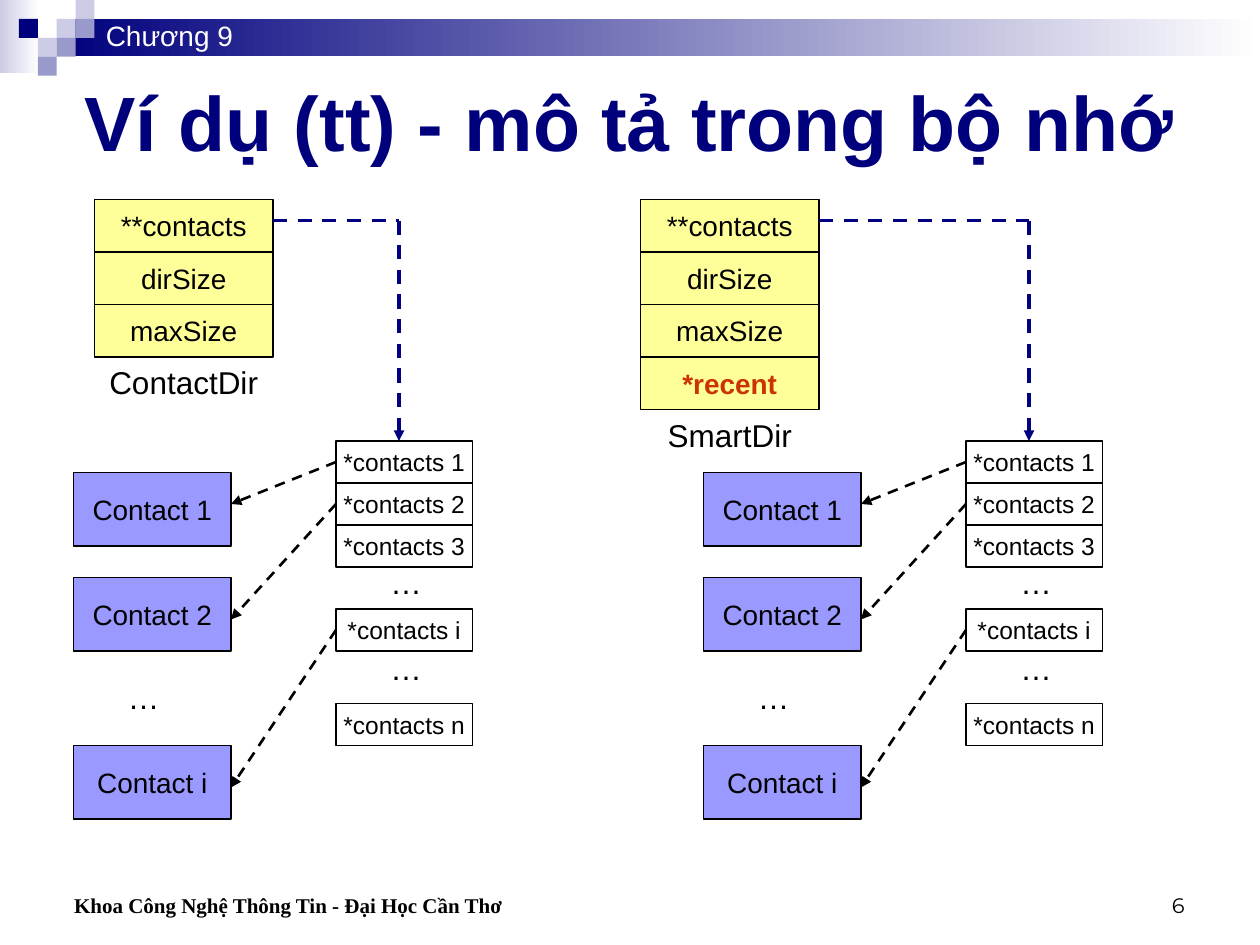
from dataclasses import dataclass

from pptx import Presentation
from pptx.dml.color import RGBColor
from pptx.enum.dml import MSO_LINE
from pptx.enum.shapes import MSO_CONNECTOR, MSO_SHAPE
from pptx.enum.text import MSO_ANCHOR, PP_ALIGN
from pptx.oxml.xmlchemy import OxmlElement
from pptx.util import Inches, Pt


@dataclass(frozen=True)
class Theme:
    """Colours, fonts and type sizes of the slide."""
    navy: str = "00007D"
    pointer: str = "000080"
    black: str = "000000"
    white: str = "FFFFFF"
    pale: str = "CCCCE6"
    lilac: str = "9999CC"
    field: str = "FFFF99"
    contact: str = "9999FF"
    accent: str = "CC3300"
    sans: str = "Arial"
    serif: str = "Times New Roman"
    digits: str = "Montserrat"
    title_size: int = 44
    label_size: int = 18
    body_size: int = 16
    entry_size: int = 14
    footer_size: int = 12


@dataclass(frozen=True)
class Box:
    """An area in grid units of a twelfth of an inch."""
    left: float
    top: float
    width: float
    height: float

    def inner(self, col, row, cols, rows):
        """Return an area placed relative to this one."""
        return Box(self.left + col, self.top + row, cols, rows)

    def emu(self):
        """Return left, top, width and height as lengths."""
        return [Inches(n / 12) for n in (self.left, self.top, self.width, self.height)]


THEME = Theme()
PAGE = Box(0, 0, 120, 90)


def rgb(code):
    """Turn a hex code into a colour."""
    return RGBColor.from_string(code)


def write(holder, words, size, color=THEME.black, font=THEME.sans, bold=False,
          align=PP_ALIGN.LEFT, anchor=MSO_ANCHOR.TOP, wrap=True):
    """Put one formatted paragraph into a shape."""
    frame = holder.text_frame
    frame.text = words
    frame.word_wrap = wrap
    frame.vertical_anchor = anchor
    paragraph = frame.paragraphs[0]
    paragraph.alignment = align
    face = paragraph.runs[0].font
    face.name, face.size, face.bold = font, Pt(size), bold
    face.color.rgb = rgb(color)
    return paragraph


def caption(slide, box, words, size, **style):
    """Add a text box."""
    return write(slide.shapes.add_textbox(*box.emu()), words, size, **style)


def block(slide, box, fill=None, outline=None, fade=None):
    """Add a rectangle, plain, empty or fading to the right."""
    rect = slide.shapes.add_shape(MSO_SHAPE.RECTANGLE, *box.emu())
    rect.shadow.inherit = False
    if fade:
        rect.fill.gradient()
        rect.fill.gradient_angle = 180
        for stop, color in zip(rect.fill.gradient_stops, (THEME.white, fade)):
            stop.color.rgb = rgb(color)
    elif fill:
        rect.fill.solid()
        rect.fill.fore_color.rgb = rgb(fill)
    else:
        rect.fill.background()
    if outline:
        rect.line.color.rgb = rgb(outline)
        rect.line.width = Pt(0.75)
    else:
        rect.line.fill.background()
    return rect


def cell(slide, box, words, size, fill=None, **style):
    """Add an outlined rectangle with centred text."""
    rect = block(slide, box, fill, THEME.black)
    write(rect, words, size, align=PP_ALIGN.CENTER, anchor=MSO_ANCHOR.MIDDLE,
          wrap=False, **style)
    return rect


def dashed(slide, start, end, color, width, arrow=True):
    """Add a dashed line between two grid points."""
    points = [Inches(n / 12) for n in (*start, *end)]
    line = slide.shapes.add_connector(MSO_CONNECTOR.STRAIGHT, *points)
    line.line.color.rgb = rgb(color)
    line.line.width = Pt(width)
    line.line.dash_style = MSO_LINE.DASH
    if arrow:
        head = OxmlElement("a:tailEnd")
        head.set("type", "triangle")
        line.line._get_or_add_ln().append(head)
    line._element.spPr.append(OxmlElement("a:effectLst"))
    return line


def banner(slide, box):
    """Draw the fading bars, the mosaic and the chapter name."""
    tile = 1.8
    block(slide, box.inner(0, 0, 3.75, 7), fade=THEME.pale)
    block(slide, box.inner(3 * tile, tile, box.width - 3 * tile, 3.5), fade=THEME.navy)
    mosaic = {THEME.pale: [(3, 1), (4, 0), (2, 2)],
              THEME.lilac: [(4, 1), (3, 2), (2, 3)],
              THEME.navy: [(1, 1)]}
    for color, places in mosaic.items():
        for col, row in places:
            block(slide, box.inner(col * tile, row * tile, tile, tile), color)
    caption(slide, box.inner(8.9, 1.15, 21, 4.4), "Chương 9", THEME.body_size,
            color=THEME.white)


def record(slide, box, name, fields):
    """Stack the fields of a class and centre its name underneath."""
    rows = 5
    for index, field in enumerate(fields):
        special = field == "*recent"
        cell(slide, box.inner(0, index * rows, box.width, rows), field, THEME.body_size,
             THEME.field, color=THEME.accent if special else THEME.black, bold=special)
    name_box = box.inner(-1, len(fields) * rows, box.width + 2, 4.8)
    caption(slide, name_box, name, THEME.label_size, align=PP_ALIGN.CENTER)


def pointer_array(slide, box):
    """Draw the array of pointers and return its cells by key."""
    rows = {"1": 0, "2": 4, "3": 8, "i": 16, "n": 25}
    entries = {key: cell(slide, box.inner(0, row, box.width, 4), f"*contacts {key}",
                         THEME.entry_size) for key, row in rows.items()}
    for row in (11, 19.2):
        caption(slide, box.inner(4, row, 5.4, 4.8), "…", THEME.label_size)
    return entries


def contact_list(slide, box, entries):
    """Draw the contacts and the arrows that reach them."""
    for key, row, tip in (("1", 0, 3), ("2", 10, 14), ("i", 26, 30)):
        cell(slide, box.inner(0, row, box.width, 7), f"Contact {key}", THEME.body_size,
             THEME.contact)
        end = (box.left + box.width, box.top + tip)
        arrow = dashed(slide, end, end, THEME.black, 1.5)
        arrow.begin_connect(entries[key], 1)
    caption(slide, box.inner(4, 19, 6, 4.8), "…", THEME.label_size)


def memory_map(slide, box, record_col, name, fields):
    """Draw one class with its pointer array and contacts."""
    record_box = box.inner(record_col, 0, 17, 5 * len(fields))
    record(slide, record_box, name, fields)
    entries = pointer_array(slide, box.inner(32, 23, 13, 29))
    corner = (box.left + 38, box.top + 2)
    dashed(slide, (record_box.left + record_box.width, corner[1]), corner,
           THEME.pointer, 2, arrow=False)
    dashed(slide, corner, (corner[0], box.top + 23), THEME.pointer, 2)
    contact_list(slide, box.inner(7, 26, 15, 33), entries)


def footer(slide, box):
    """Write the faculty and the page number."""
    faculty = caption(slide, box.inner(3, 0, 58, box.height),
                      "Khoa Công Nghệ Thông Tin - Đại Học Cần Thơ", THEME.footer_size,
                      font=THEME.serif, bold=True, anchor=MSO_ANCHOR.BOTTOM)
    faculty._p.get_or_add_pPr().set("marL", str(Inches(0.24)))
    caption(slide, box.inner(86, 0, 28, box.height), "6", THEME.footer_size,
            font=THEME.digits, align=PP_ALIGN.RIGHT, anchor=MSO_ANCHOR.BOTTOM)


def main():
    """Build and save the slide."""
    deck = Presentation()
    deck.slide_width, deck.slide_height = PAGE.emu()[2:]
    slide = deck.slides.add_slide(deck.slide_layouts[6])
    banner(slide, PAGE.inner(0, 0, 120, 7))
    caption(slide, PAGE.inner(6, 6, 108, 11), "Ví dụ (tt) - mô tả trong bộ nhớ",
            THEME.title_size, color=THEME.navy, bold=True, align=PP_ALIGN.CENTER,
            anchor=MSO_ANCHOR.MIDDLE)
    fields = ["**contacts", "dirSize", "maxSize"]
    memory_map(slide, PAGE.inner(0, 19, 60, 59), 9, "ContactDir", fields)
    memory_map(slide, PAGE.inner(60, 19, 60, 59), 1, "SmartDir", fields + ["*recent"])
    footer(slide, PAGE.inner(0, 82, 120, 6))
    deck.save("out.pptx")


if __name__ == "__main__":
    main()
